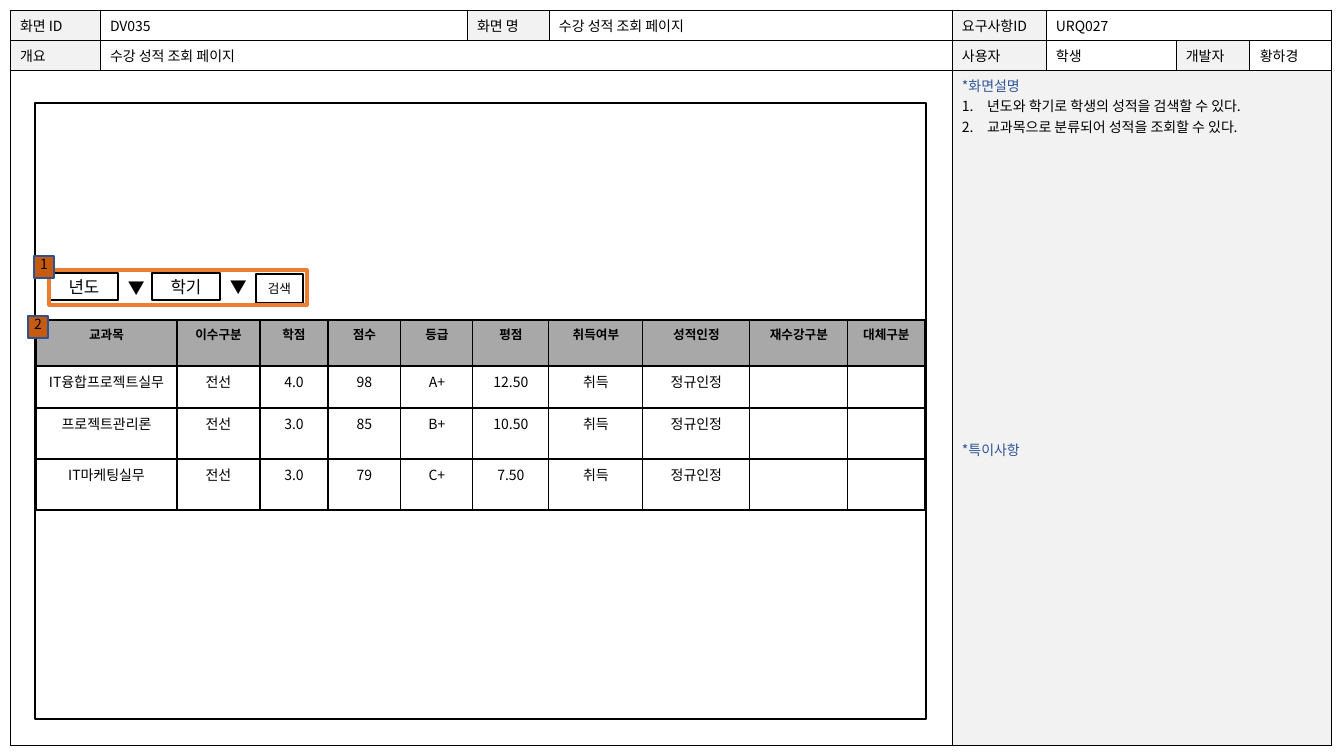
"""Build the grade lookup screen specification slide."""
from lxml.etree import SubElement
from pptx import Presentation
from pptx.dml.color import RGBColor
from pptx.enum.shapes import MSO_SHAPE
from pptx.enum.text import MSO_ANCHOR, PP_ALIGN
from pptx.oxml import parse_xml
from pptx.oxml.ns import nsdecls, qn
from pptx.util import Pt

PX = 914400 / 100.8
FONT = "Noto Sans CJK KR"
C = {
    "black": "000000",
    "white": "FFFFFF",
    "label": "F2F2F2",
    "header": "A8A8A8",
    "heading": "2F5597",
    "outline": "ED7D31",
    "badge": "C55A11",
    "badge_line": "2F528F",
}


def fmt(p, size, color="black", bold=False, align=PP_ALIGN.LEFT):
    p.alignment = align
    for r in p.runs:
        r.font.size = Pt(size)
        r.font.bold = bold
        r.font.name = FONT
        r.font.color.rgb = RGBColor.from_string(C[color])
        SubElement(r.font._element, qn("a:ea")).set("typeface", FONT)
    p._p.get_or_add_endParaRPr().set("sz", str(size * 100))


def box(x, y, w, h, text="", size=10, fill="white", line="black", width=1, badge=False):
    sp = s.shapes.add_shape(MSO_SHAPE.RECTANGLE, *[round(v * PX) for v in (x, y, w, h)])
    sp.shadow.inherit = False
    if fill:
        sp.fill.solid()
        sp.fill.fore_color.rgb = RGBColor.from_string(C[fill])
    else:
        sp.fill.background()
    sp.line.color.rgb = RGBColor.from_string(C[line])
    sp.line.width = Pt(width)
    tf = sp.text_frame
    tf.text = text
    tf.vertical_anchor = MSO_ANCHOR.TOP if badge else MSO_ANCHOR.MIDDLE
    if badge:
        tf.margin_left = tf.margin_top = tf.margin_right = tf.margin_bottom = 0
    fmt(tf.paragraphs[0], size, align=PP_ALIGN.CENTER)


prs = Presentation()
prs.slide_width, prs.slide_height = round(1344 * PX), round(756 * PX)
s = prs.slides.add_slide(prs.slide_layouts[6])

spec_rows = [
    ["화면 ID", "DV035", "화면 명", "수강 성적 조회 페이지", "요구사항ID", "URQ027", "", ""],
    ["개요", "수강 성적 조회 페이지", "", "", "사용자", "학생", "개발자", "황하경"],
    ["", "", "", "",
     "*화면설명\n년도와 학기로 학생의 성적을 검색할 수 있다.\n"
     "교과목으로 분류되어 성적을 조회할 수 있다.\n*특이사항", "", "", ""],
]
grade_rows = [
    ["교과목", "이수구분", "학점", "점수", "등급", "평점", "취득여부", "성적인정", "재수강구분", "대체구분"],
    ["IT융합프로젝트실무", "전선", "4.0", "98", "A+", "12.50", "취득", "정규인정", "", ""],
    ["프로젝트관리론", "전선", "3.0", "85", "B+", "10.50", "취득", "정규인정", "", ""],
    ["IT마케팅실무", "전선", "3.0", "79", "C+", "7.50", "취득", "정규인정", "", ""],
]
spec_labels = {(0, 0), (0, 2), (0, 4), (1, 0), (1, 4), (1, 6), (2, 4)}
spec_merges = [((0, 5), (0, 7)), ((1, 1), (1, 3)), ((2, 0), (2, 3)), ((2, 4), (2, 7))]
screen_frame = (35, 103, 891, 616)

tables = [
    (None, spec_rows, [10, 100, 467, 549, 952, 1046, 1176, 1250, 1332],
     [10, 40, 70, 745], spec_merges, 0.5),
    (screen_frame, grade_rows, [36, 177, 260, 328, 401, 473, 549, 643, 750, 848, 925],
     [320, 366, 408, 459, 510], [], 1),
]
for frame, rows, xs, ys, merges, border in tables:
    if frame:
        box(*frame)
    area = (xs[0], ys[0], xs[-1] - xs[0], ys[-1] - ys[0])
    tbl = s.shapes.add_table(len(rows), len(xs) - 1, *[round(v * PX) for v in area]).table
    tbl.first_row = tbl.horz_banding = False
    for col, a, b in zip(tbl.columns, xs, xs[1:]):
        col.width = round((b - a) * PX)
    for row, a, b in zip(tbl.rows, ys, ys[1:]):
        row.height = round((b - a) * PX)
    for i, texts in enumerate(rows):
        for j, text in enumerate(texts):
            cell = tbl.cell(i, j)
            cell.text_frame.text = text
            header = rows is grade_rows and i == 0
            label = rows is spec_rows and (i, j) in spec_labels
            fill = "header" if header else "label" if label else "white"
            cell.fill.solid()
            cell.fill.fore_color.rgb = RGBColor.from_string(C[fill])
            align = PP_ALIGN.CENTER if rows is grade_rows else PP_ALIGN.LEFT
            for p in cell.text_frame.paragraphs:
                color = "heading" if p.text.startswith("*") else "black"
                fmt(p, 9 if header else 10, color, header, align)
            for k, side in enumerate(("lnL", "lnR", "lnT", "lnB")):
                cell._tc.get_or_add_tcPr().insert(k, parse_xml(
                    f'<a:{side} {nsdecls("a")} w="{Pt(border)}"><a:solidFill>'
                    f'<a:srgbClr val="{C["black"]}"/></a:solidFill></a:{side}>'))
    for first, last in merges:
        tbl.cell(*first).merge(tbl.cell(*last))
    if rows is spec_rows:
        notes = tbl.cell(2, 4).text_frame.paragraphs
        for p in notes[1:3]:
            pPr = p._p.get_or_add_pPr()
            pPr.set("marL", "228600")
            pPr.set("indent", "-228600")
            SubElement(pPr, qn("a:buFont")).set("typeface", "+mj-lt")
            SubElement(pPr, qn("a:buAutoNum")).set("type", "arabicPeriod")
        notes[3].space_before = Pt(217)

for x, text in ((50, "년도"), (152, "학기")):
    box(x, 273, 68, 27, text, 12)
for x, y in ((118, 273), (220, 272)):
    tf = s.shapes.add_textbox(*[round(v * PX) for v in (x, y, 33, 30)]).text_frame
    tf.word_wrap = True
    tf.text = "▼"
    fmt(tf.paragraphs[0], 12)
box(256, 274, 47, 29, "검색", 9)
box(49, 270, 258, 35, fill=None, line="outline", width=2.25)
for x, y, number in ((34, 256, "1"), (28, 316, "2")):
    box(x, y, 20, 22, number, fill="badge", line="badge_line", badge=True)

prs.save("out.pptx")
